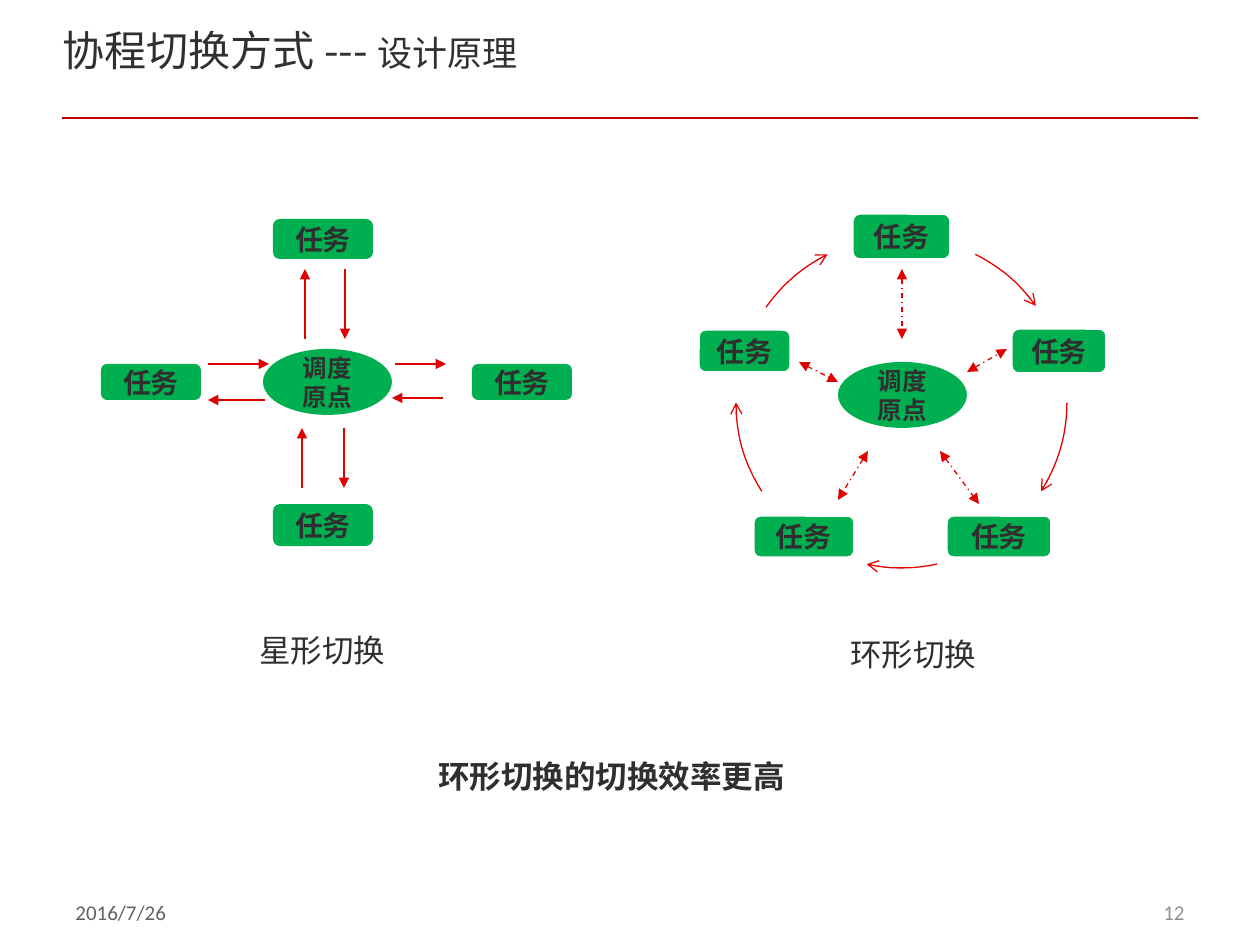
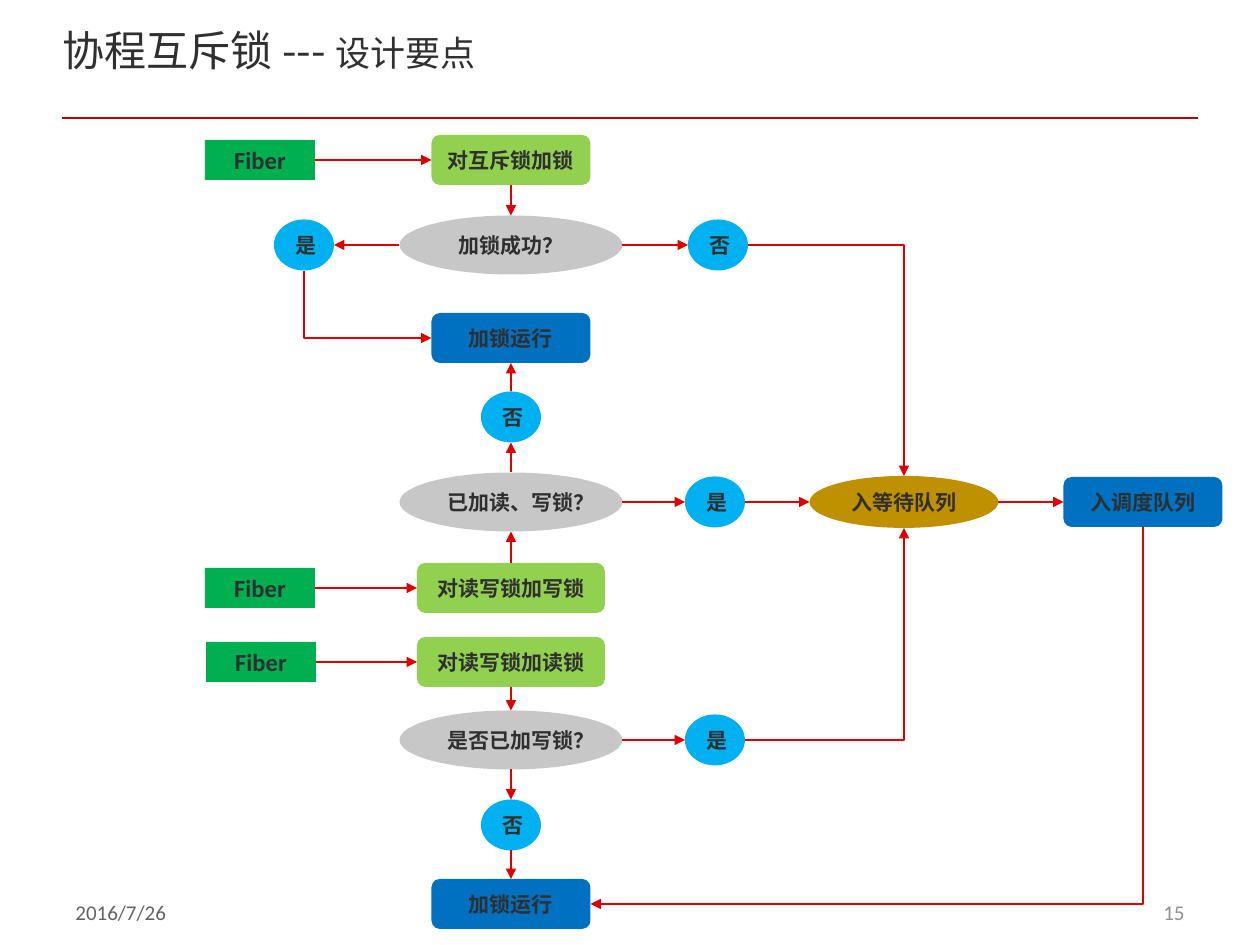
import pptx
import pptx.util
import pptx.dml.color
import pptx.enum.dml
import pptx.enum.shapes
import pptx.enum.text
import pptx.oxml
import pptx.oxml.ns

PIXEL = 914400 // 126
SHAPE = pptx.enum.shapes.MSO_SHAPE
CONNECTOR = pptx.enum.shapes.MSO_CONNECTOR
ALIGN = pptx.enum.text.PP_ALIGN
ANCHOR = pptx.enum.text.MSO_ANCHOR
DASH_DOT = pptx.enum.dml.MSO_LINE.DASH_DOT
colour = pptx.dml.color.RGBColor.from_string
qn = pptx.oxml.ns.qn

INK, GREEN, ARROW, RULE = "2F2F2F", "00B050", "E10000", "C00000"
CJK_FONT = "Noto Sans CJK SC"


def add_text(page, rect, *runs, shape=None, fill=None, outline=None, size=12, bold=False,
             ink=INK, font="Calibri", align=ALIGN.LEFT, anchor=ANCHOR.TOP, inset=None):
    """Add a text box or a filled shape; each run is a text or a (text, size) pair."""
    place = [round(value * PIXEL) for value in rect]
    if shape is None:
        box = page.shapes.add_textbox(*place)
    else:
        box = page.shapes.add_shape(shape, *place)
        box.shadow.inherit = False
        box.fill.solid()
        box.fill.fore_color.rgb = colour(fill)
        if outline:
            box.line.color.rgb = colour(outline)
            box.line.width = pptx.util.Pt(2)
        else:
            box.line.fill.background()
        align, anchor = ALIGN.CENTER, ANCHOR.MIDDLE
    frame = box.text_frame
    frame.word_wrap = True
    frame.vertical_anchor = anchor
    if inset is not None:
        frame.margin_left = frame.margin_right = inset
        frame.margin_top = frame.margin_bottom = inset
    para = frame.paragraphs[0]
    para.alignment = align
    for run in runs:
        text, run_size = (run, size) if isinstance(run, str) else run
        span = para.add_run()
        span.text = text
        span.font.size = pptx.util.Pt(run_size)
        span.font.bold = bold
        span.font.color.rgb = colour(ink)
        span.font.name = font
        properties = span._r.get_or_add_rPr()
        properties.set("lang", "zh-CN")
        east_asian = pptx.oxml.parse_xml(
            f'<a:ea {pptx.oxml.ns.nsdecls("a")} typeface="{CJK_FONT}"/>')
        properties.find(qn("a:latin")).addnext(east_asian)


def style_line(line, ink=ARROW, width=0.75, dash=None, head=None, tail=None):
    """Set the stroke and arrowheads of a connector or arc, without a shadow."""
    line.line.color.rgb = colour(ink)
    line.line.width = pptx.util.Pt(width)
    if dash:
        line.line.dash_style = dash
    properties = line._element.spPr
    stroke = properties.find(qn("a:ln"))
    for tag, kind in (("a:headEnd", head), ("a:tailEnd", tail)):
        if kind:
            stroke.append(pptx.oxml.parse_xml(
                f'<{tag} {pptx.oxml.ns.nsdecls("a")} type="{kind}"/>'))
    if properties.find(qn("a:effectLst")) is None:
        properties.append(pptx.oxml.parse_xml(
            f'<a:effectLst {pptx.oxml.ns.nsdecls("a")}/>'))


deck = pptx.Presentation()
deck.slide_width = pptx.util.Inches(10)
deck.slide_height = pptx.util.Inches(7.5)

# Shared title, rule and footer
pages = []
for topic, aspect, number in (("协程切换方式 --- ", "设计原理", "12"),
                              ("协程互斥锁 --- ", "设计要点", "15")):
    page = deck.slides.add_slide(deck.slide_layouts[6])
    pages.append(page)
    rule = page.shapes.add_connector(
        CONNECTOR.STRAIGHT, 62 * PIXEL, 118 * PIXEL, 1198 * PIXEL, 118 * PIXEL)
    style_line(rule, ink=RULE, width=1)
    add_text(page, (63, 879, 294, 67), "2016/7/26", ink="636363", anchor=ANCHOR.MIDDLE)
    add_text(page, (903, 879, 294, 67), number, ink="8F8F8F", align=ALIGN.RIGHT,
             anchor=ANCHOR.MIDDLE)
    add_text(page, (63, 25, 974, 88), topic, (aspect, 20), size=24, ink="303030",
             font=CJK_FONT, inset=0)
star_page, lock_page = pages

# Star and ring: tasks around a scheduling hub
star_tasks = [(273, 219, 100, 40), (273, 504, 100, 42), (101, 364, 100, 36), (472, 364, 100, 36)]
ring_tasks = [(852, 213, 99, 47), (1011, 328, 96, 46), (946, 515, 106, 43),
              (753, 515, 102, 43), (698, 329, 93, 44)]
for tasks, outline in ((star_tasks, None), (ring_tasks, "FFFFFF")):
    for rect in tasks:
        add_text(star_page, rect, "任务", shape=SHAPE.ROUNDED_RECTANGLE, fill=GREEN,
                 outline=outline, size=16, bold=True)
for left, top in ((263, 349), (838, 362)):
    add_text(star_page, (left, top, 129, 66), "调度原点", shape=SHAPE.FLOWCHART_CONNECTOR,
             fill=GREEN, size=14, bold=True)

# Arcs clockwise round the ring, in degrees from the right
for start, end in ((296.5, 324.3), (0.2, 32.5), (77.5, 102.1), (147.5, 180), (215.1, 243.5)):
    arc = star_page.shapes.add_shape(
        SHAPE.ARC, 736 * PIXEL, 237 * PIXEL, 331 * PIXEL, 331 * PIXEL)
    arc.adjustments[0], arc.adjustments[1] = start * 0.6, end * 0.6
    arc.fill.background()
    arc.shadow.inherit = False
    style_line(arc, ink="E60000", tail="arrow")

# One-way arrows of the star, two-way arrows of the ring
star_arrows = [(345, 269, 345, 339), (344, 428, 344, 488), (302, 488, 302, 428),
               (305, 339, 305, 269), (395, 364, 446, 364), (443, 398, 392, 398),
               (265, 400, 208, 400), (208, 364, 269, 364)]
ring_arrows = [(799, 362, 838, 382), (902, 269, 902, 339), (967, 372, 1007, 349),
               (940, 451, 979, 504), (868, 451, 838, 500)]
for arrows, dash, head in ((star_arrows, None, None), (ring_arrows, DASH_DOT, "triangle")):
    for ends in arrows:
        arrow = star_page.shapes.add_connector(
            CONNECTOR.STRAIGHT, *[value * PIXEL for value in ends])
        style_line(arrow, dash=dash, head=head, tail="triangle")

# Captions and conclusion
add_text(star_page, (247, 625, 179, 50), "星形切换", size=18)
add_text(star_page, (838, 629, 179, 50), "环形切换", size=18)
add_text(star_page, (426, 751, 476, 50), "环形切换的切换效率更高", size=18, bold=True)

# Lock flowchart: kinds of node as shape, fill, width, height, text size
kinds = {
    "fiber": (SHAPE.RECTANGLE, GREEN, 110, 40, 14),
    "mutex": (SHAPE.ROUNDED_RECTANGLE, "92D050", 159, 50, 12),
    "rwlock": (SHAPE.ROUNDED_RECTANGLE, "92D050", 188, 50, 12),
    "run": (SHAPE.ROUNDED_RECTANGLE, "0070C0", 159, 50, 12),
    "question": (SHAPE.OVAL, "C7C7C7", 223, 59, 12),
    "answer": (SHAPE.OVAL, "00B0F0", 60, 51, 12),
    "queue": (SHAPE.OVAL, "BF9000", 189, 52, 12),
}
# Nodes as kind, text, centre x, centre y
nodes = {
    "mutex fiber": ("fiber", "Fiber", 260, 160),
    "mutex": ("mutex", "对互斥锁加锁", 511, 160),
    "locked?": ("question", "加锁成功？", 511, 245),
    "locked": ("answer", "是", 304, 245),
    "not locked": ("answer", "否", 718, 245),
    "run above": ("run", "加锁运行", 511, 338),
    "free": ("answer", "否", 511, 417),
    "any lock?": ("question", "已加读、写锁？", 511, 502),
    "any lock": ("answer", "是", 715, 502),
    "waiting": ("queue", "入等待队列", 904, 502),
    "scheduled": ("run", "入调度队列", 1143, 502),
    "write fiber": ("fiber", "Fiber", 260, 588),
    "write": ("rwlock", "对读写锁加写锁", 511, 588),
    "read fiber": ("fiber", "Fiber", 261, 662),
    "read": ("rwlock", "对读写锁加读锁", 511, 662),
    "write lock?": ("question", "是否已加写锁？", 511, 740),
    "write lock": ("answer", "是", 715, 740),
    "no write lock": ("answer", "否", 511, 825),
    "run below": ("run", "加锁运行", 511, 904),
}
for kind, text, x, y in nodes.values():
    shape, fill, width, height, size = kinds[kind]
    add_text(lock_page, (x - width / 2, y - height / 2, width, height), text,
             shape=shape, fill=fill, size=size, bold=True)

# Routes as start node, side left, side entered, end node
sides = {"left": (-1, 0), "right": (1, 0), "top": (0, -1), "bottom": (0, 1)}
routes = [
    ("mutex fiber", "right", "left", "mutex"),
    ("mutex", "bottom", "top", "locked?"),
    ("locked?", "left", "right", "locked"),
    ("locked?", "right", "left", "not locked"),
    ("locked", "bottom", "left", "run above"),
    ("not locked", "right", "top", "waiting"),
    ("write fiber", "right", "left", "write"),
    ("write", "top", "bottom", "any lock?"),
    ("any lock?", "top", "bottom", "free"),
    ("free", "top", "bottom", "run above"),
    ("any lock?", "right", "left", "any lock"),
    ("any lock", "right", "left", "waiting"),
    ("waiting", "right", "left", "scheduled"),
    ("read fiber", "right", "left", "read"),
    ("read", "bottom", "top", "write lock?"),
    ("write lock?", "right", "left", "write lock"),
    ("write lock", "right", "bottom", "waiting"),
    ("write lock?", "bottom", "top", "no write lock"),
    ("no write lock", "bottom", "top", "run below"),
    ("scheduled", "bottom", "right", "run below"),
]
for start, leave, enter, end in routes:
    ends = []
    for name, side in ((start, leave), (end, enter)):
        kind, text, x, y = nodes[name]
        width, height = kinds[kind][2:4]
        ends += [x + sides[side][0] * width / 2, y + sides[side][1] * height / 2]
    x1, y1, x2, y2 = ends
    bent = (leave in ("left", "right")) != (enter in ("left", "right"))
    turned = bent and leave == "bottom"
    if turned:  # a corner that starts downwards is a quarter turn of the plain one
        middle_x, middle_y = (x1 + x2) / 2, (y1 + y2) / 2
        half_width, half_height = abs(y2 - y1) / 2, abs(x2 - x1) / 2
        ends = [middle_x - half_width, middle_y - half_height,
                middle_x + half_width, middle_y + half_height]
    arrow = lock_page.shapes.add_connector(
        CONNECTOR.ELBOW if bent else CONNECTOR.STRAIGHT,
        *[round(value * PIXEL) for value in ends])
    properties = arrow._element.spPr
    if bent:
        properties.find(qn("a:prstGeom")).set("prst", "bentConnector2")
    if turned:
        transform = properties.find(qn("a:xfrm"))
        transform.set("rot", "16200000" if x2 > x1 else "5400000")
        if x2 > x1:
            transform.set("flipH", "1")
    style_line(arrow, tail="triangle")

deck.save("out.pptx")
